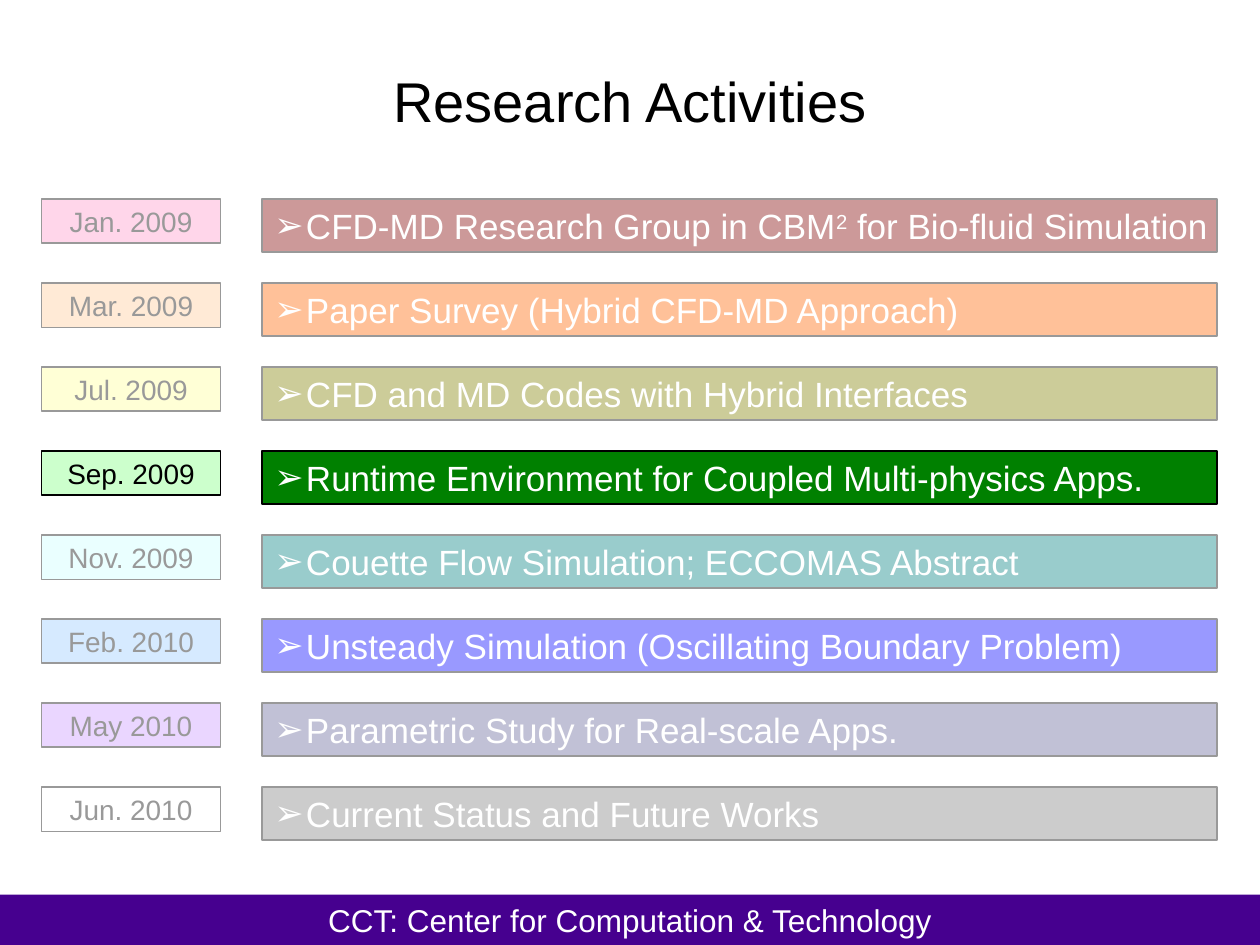
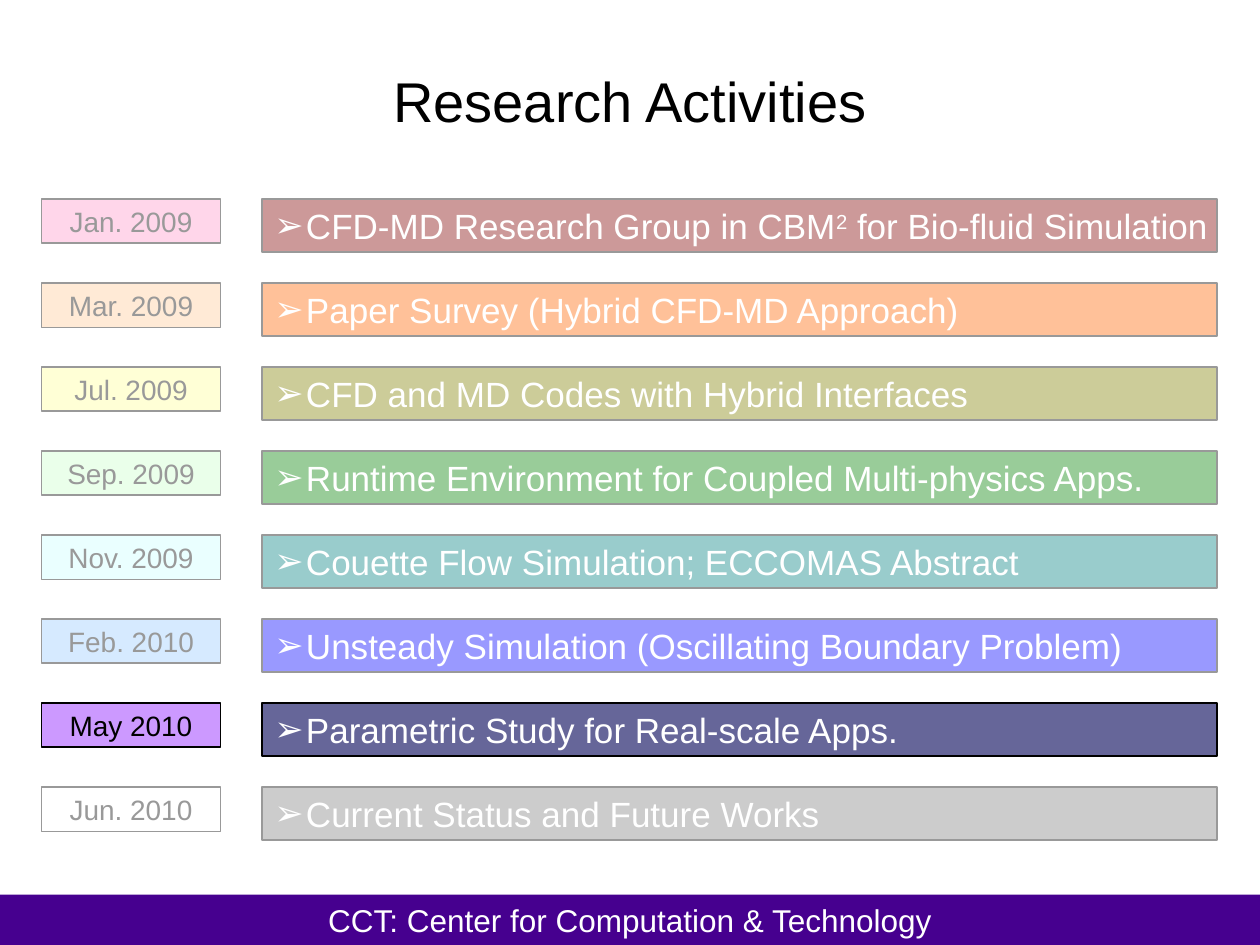
from lxml.etree import SubElement
from pptx import Presentation
from pptx.dml.color import RGBColor
from pptx.enum.shapes import MSO_SHAPE as Shape
from pptx.enum.text import MSO_ANCHOR as Anchor, MSO_AUTO_SIZE as AutoSize, PP_ALIGN as Align
from pptx.oxml.ns import qn
from pptx.util import Inches, Pt

TITLE = "Research Activities"
FOOTER = "CCT: Center for Computation & Technology"
ACTIVITIES = [
    ("Jan. 2009", "CFD-MD Research Group in CBM^2^ for Bio-fluid Simulation", "FF99CC", "800000"),
    ("Mar. 2009", "Paper Survey (Hybrid CFD-MD Approach)", "FFCC99", "FF6600"),
    ("Jul. 2009", "CFD and MD Codes with Hybrid Interfaces", "FFFF99", "808000"),
    ("Sep. 2009", "Runtime Environment for Coupled Multi-physics Apps.", "CCFFCC", "008000"),
    ("Nov. 2009", "Couette Flow Simulation; ECCOMAS Abstract", "CCFFFF", "008080"),
    ("Feb. 2010", "Unsteady Simulation (Oscillating Boundary Problem)", "99CCFF", "0000FF"),
    ("May 2010", "Parametric Study for Real-scale Apps.", "CC99FF", "666699"),
    ("Jun. 2010", "Current Status and Future Works", "FFFFFF", "808080"),
]
HIGHLIGHTED_DATES = ["Sep. 2009", "May 2010"]

COLORS = {"text": "000000", "line": "000000", "light": "FFFFFF", "band": "46008F", "veil": "FFFFFF"}
FONT = "Arial"
VEIL_OPACITY = 60
ROWS_TOP = 1.5
ROW_PITCH = 2 / 3
ROW_PADDING = 0.08


def color(value):
    return RGBColor.from_string(value)


def add_box(page, left, top, width, height, fill, line=None):
    box = page.shapes.add_shape(
        Shape.RECTANGLE, Inches(left), Inches(top), Inches(width), Inches(height))
    box.shadow.inherit = False
    box.fill.solid()
    box.fill.fore_color.rgb = color(fill)
    if line:
        box.line.color.rgb = color(line)
        box.line.width = Pt(0.75)
    else:
        box.line.fill.background()
    return box


def write(box, text, size, ink, align=Align.CENTER, wrap=False):
    frame = box.text_frame
    frame.word_wrap = wrap
    frame.auto_size = AutoSize.NONE
    frame.vertical_anchor = Anchor.MIDDLE
    para = frame.paragraphs[0]
    para.alignment = align
    for index, part in enumerate(text.split("^")):
        span = para.add_run()
        span.text = part
        span.font.name = FONT
        span.font.size = Pt(size)
        span.font.color.rgb = color(ink)
        if index % 2:
            span.font._element.set("baseline", "30000")
    return para


def add_arrow_bullet(para):
    properties = para._p.get_or_add_pPr()
    properties.set("marL", str(Inches(0.25)))
    properties.set("indent", str(-Inches(0.25)))
    bullet_color = SubElement(properties, qn("a:buClr"))
    SubElement(bullet_color, qn("a:srgbClr"), val=COLORS["light"])
    SubElement(properties, qn("a:buFont"), typeface=FONT)
    SubElement(properties, qn("a:buChar"), char="➢")


def add_activity(page, row, date, activity, date_fill, bar_fill):
    top = ROWS_TOP + ROW_PADDING + row * ROW_PITCH
    date_box = add_box(page, 0.33, top, 1.42, 0.35, date_fill, COLORS["line"])
    write(date_box, date, 16, COLORS["text"])
    bar = add_box(page, 2.08, top, 7.58, 0.42, bar_fill, COLORS["line"])
    add_arrow_bullet(write(bar, activity, 20, COLORS["light"], Align.LEFT))


def add_veil(page, first_row, end_row):
    top = ROWS_TOP + first_row * ROW_PITCH
    height = (end_row - first_row) * ROW_PITCH
    veil = add_box(page, 0.08, top, 9.75, height, COLORS["veil"])
    tint = veil.fill._xPr.find(qn("a:solidFill"))[0]
    SubElement(tint, qn("a:alpha"), val=str(VEIL_OPACITY * 1000))


def add_frame(page):
    band = add_box(page, 0, 7.1, 10, 0.4, COLORS["band"])
    write(band, FOOTER, 18, COLORS["light"], wrap=True)
    title = page.shapes.title
    title.left, title.top = Inches(0.75), Inches(0.17)
    title.width, title.height = Inches(8.5), Inches(1.25)
    write(title, TITLE, 32, COLORS["text"], wrap=True)


def main():
    deck = Presentation()
    deck.slide_width, deck.slide_height = Inches(10), Inches(7.5)
    dates = [activity[0] for activity in ACTIVITIES]
    for highlighted in HIGHLIGHTED_DATES:
        page = deck.slides.add_slide(deck.slide_layouts[5])
        add_frame(page)
        for row, activity in enumerate(ACTIVITIES):
            add_activity(page, row, *activity)
        current = dates.index(highlighted)
        add_veil(page, current + 1, len(ACTIVITIES))
        add_veil(page, 0, current)
    deck.save("out.pptx")


if __name__ == "__main__":
    main()
